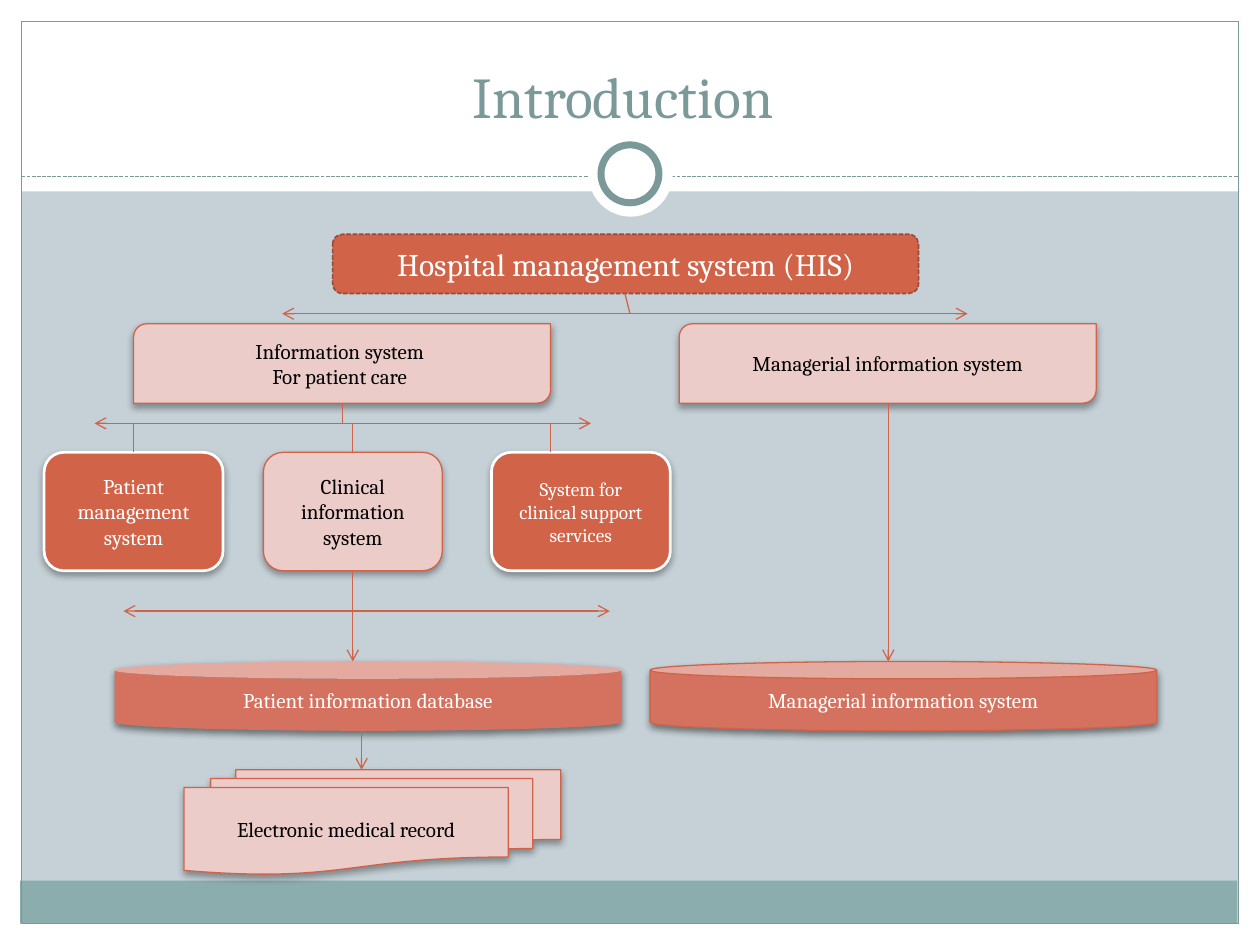
from lxml import etree
from pptx import Presentation
from pptx import util as u
from pptx.dml.color import RGBColor
from pptx.enum import dml, shapes, text
from pptx.oxml.ns import qn

Inches, Pt, Kind = u.Inches, u.Pt, shapes.MSO_SHAPE
FONT = "Cambria"
WHITE, BLACK = RGBColor(255, 255, 255), RGBColor(0, 0, 0)
BACKGROUND = RGBColor(0xC5, 0xD1, 0xD7)
TEAL, FOOTER = RGBColor(0x7C, 0x99, 0x9A), RGBColor(0x8C, 0xAD, 0xAE)
ORANGE, BROWN = RGBColor(0xD1, 0x63, 0x49), RGBColor(0x9B, 0x49, 0x36)
PINK, CORAL = RGBColor(0xEC, 0xCC, 0xC9), RGBColor(0xD4, 0x72, 0x5F)

# Content: shape styles, then each box as text, style, position, size, extras
TITLE = "Introduction "
ROOT = dict(kind=Kind.ROUNDED_RECTANGLE, fill=ORANGE, line=BROWN, width=0.9, dashed=True)
BRANCH = dict(kind=Kind.ROUND_2_DIAG_RECTANGLE, fill=PINK, line=ORANGE, shadow=35)
STRONG = dict(kind=Kind.ROUNDED_RECTANGLE, fill=ORANGE, line=WHITE, width=1.57, shadow=35)
LIGHT = dict(kind=Kind.ROUNDED_RECTANGLE, fill=PINK, line=ORANGE, shadow=35)
DATABASE = dict(kind=Kind.CAN, fill=CORAL, shadow=45)
RECORD = dict(kind=Kind.FLOWCHART_MULTIDOCUMENT, fill=PINK, line=ORANGE, shadow=35)
BRANCH_Y, UNIT_Y, DATABASE_Y, RECORD_Y = 2.57, 3.59, 5.25, 6.11
BRANCH_SIZE, UNIT_SIZE, DATABASE_SIZE = (3.31, 0.63), (1.42, 0.94), (4.02, 0.55)
BOXES = [
    ("Hospital management system (HIS)", ROOT, (2.64, 1.86), (4.65, 0.47), WHITE, 18),
    ("Information system \nFor patient care ", BRANCH, (1.06, BRANCH_Y), BRANCH_SIZE, BLACK, 12),
    ("Managerial information system", BRANCH, (5.39, BRANCH_Y), BRANCH_SIZE, BLACK, 12),
    ("Patient management system", STRONG, (0.35, UNIT_Y), UNIT_SIZE, WHITE, 12),
    ("Clinical information system", LIGHT, (2.09, UNIT_Y), UNIT_SIZE, BLACK, 12),
    ("System for clinical support services", STRONG, (3.9, UNIT_Y), UNIT_SIZE, WHITE, 11),
    ("Managerial information system", {**DATABASE, "line": ORANGE},
     (5.16, DATABASE_Y), DATABASE_SIZE, WHITE, 12),
    ("Patient information database", DATABASE, (0.91, DATABASE_Y), DATABASE_SIZE, WHITE, 12),
    ("Electronic medical record", RECORD, (1.46, RECORD_Y), (2.99, 0.83), BLACK, 12),
]
# Horizontal two-headed bars: left, right, y
BARS = [(2.24, 7.68, 2.49), (0.75, 4.69, 3.36), (0.98, 4.84, 4.85)]
ROOT_BAR_Y, UNIT_BAR_Y = BARS[0][2], BARS[1][2]
# Plain links and arrows: start, end
LINKS = [((4.96, 2.33), (5, ROOT_BAR_Y)), ((2.72, 3.2), (2.72, UNIT_BAR_Y))]
LINKS += [((x, UNIT_BAR_Y), (x, UNIT_Y)) for x in (1.06, 2.8, 4.37)]
ARROWS = [((2.8, 4.54), (2.8, DATABASE_Y)), ((2.87, 5.8), (2.87, RECORD_Y)),
          ((7.05, 3.2), (7.05, DATABASE_Y))]

presentation = Presentation()
presentation.slide_width, presentation.slide_height = Inches(10), Inches(7.5)
slide = presentation.slides.add_slide(presentation.slide_layouts[5])
slide.background.fill.solid()
slide.background.fill.fore_color.rgb = BACKGROUND


def write(shape, words, size=12, color=BLACK, anchor=text.MSO_ANCHOR.MIDDLE):
    frame = shape.text_frame
    frame.word_wrap = True
    frame.auto_size = text.MSO_AUTO_SIZE.NONE
    frame.vertical_anchor = anchor
    frame.text = words
    for paragraph in frame.paragraphs:
        paragraph.alignment = text.PP_ALIGN.CENTER
        for run in paragraph.runs:
            run.font.name, run.font.size = FONT, Pt(size)
            run.font.color.rgb = color


def set_line(line, color, width, dashed=False):
    line.color.rgb = color
    line.width = Pt(width)
    if dashed:
        line.dash_style = dml.MSO_LINE.SQUARE_DOT


def add_shape(place, size, kind=Kind.RECTANGLE, fill=None, line=None, width=0.75,
              dashed=False, shadow=0):
    shape = slide.shapes.add_shape(kind, *map(Inches, place + size))
    if fill is None:
        shape.fill.background()
    else:
        shape.fill.solid()
        shape.fill.fore_color.rgb = fill
    if line is None:
        shape.line.fill.background()
    else:
        set_line(shape.line, line, width, dashed)
    shape.shadow.inherit = False
    if shadow:
        effects = shape._element.spPr.find(qn("a:effectLst"))
        outer = etree.SubElement(effects, qn("a:outerShdw"), blurRad=str(Pt(4)),
                                 dist=str(Pt(2)), dir="5400000", rotWithShape="0")
        color = etree.SubElement(outer, qn("a:srgbClr"), val=str(BLACK))
        etree.SubElement(color, qn("a:alpha"), val=str(shadow * 1000))
    return shape


def add_line(start, end, color=ORANGE, heads=(), dashed=False):
    connector = slide.shapes.add_connector(shapes.MSO_CONNECTOR.STRAIGHT,
                                           *map(Inches, start + end))
    set_line(connector.line, color, 0.75, dashed)
    properties = connector._element.spPr
    for head in heads:
        etree.SubElement(properties.find(qn("a:ln")), qn("a:" + head), type="arrow")
    etree.SubElement(properties, qn("a:effectLst"))


# Page frame: white margins, footer band, border, divider and ring
for place, size in [((0, 7.33), (10, 0.17)), ((0, 0), (10, 1.52)),
                    ((0, 0), (0.17, 7.5)), ((9.83, 0), (0.17, 7.5))]:
    add_shape(place, size, fill=WHITE)
add_shape((0.16, 6.99), (9.66, 0.34), fill=FOOTER)
add_shape((0.17, 0.17), (9.66, 7.16), line=TEAL)
add_line((0.17, 1.4), (9.83, 1.4), color=TEAL, dashed=True)
add_shape((4.67, 1.05), (0.67, 0.67), kind=Kind.OVAL, fill=WHITE)
add_shape((4.77, 1.15), (0.46, 0.46), kind=Kind.OVAL, fill=WHITE, line=TEAL, width=4)

# Title, raised above the white header
title = slide.shapes.title
title.left, title.top, title.width, title.height = map(Inches, (0.33, 0.25, 9.33, 0.83))
write(title, TITLE, size=33, color=TEAL, anchor=text.MSO_ANCHOR.BOTTOM)
slide.shapes._spTree.append(title._element)

# Boxes of the hierarchy
for words, style, place, size, color, points in BOXES:
    write(add_shape(place, size, **style), words, size=points, color=color)

# Connections
for left, right, y in BARS:
    add_line((left, y), (right, y), heads=("headEnd", "tailEnd"))
for start, end in LINKS:
    add_line(start, end)
for start, end in ARROWS:
    add_line(start, end, heads=("tailEnd",))

presentation.save("out.pptx")
